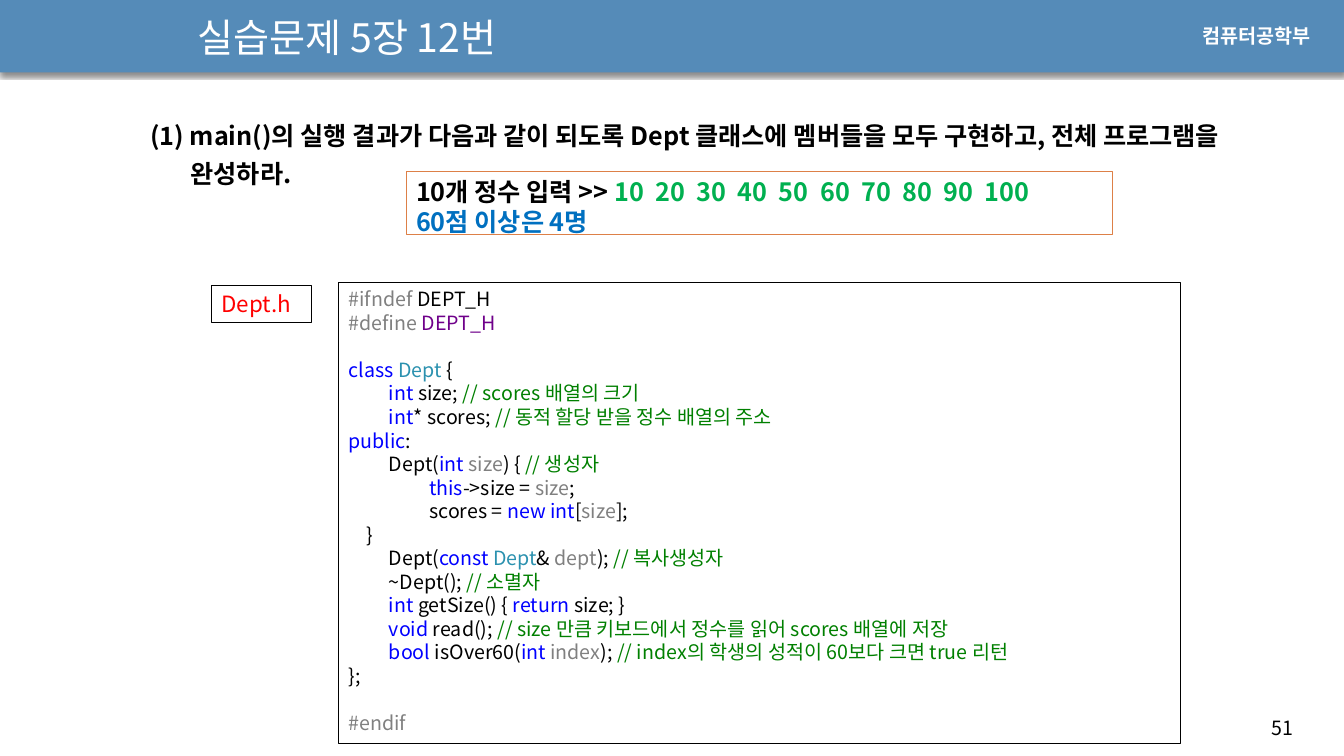
import pptx
import pptx.util
import pptx.dml.color
import pptx.enum.shapes
import pptx.enum.text
import pptx.oxml
import pptx.oxml.ns

FONT = "Noto Sans CJK KR"
COLOURS = {
    "header": "558BB8", "white": "FFFFFF", "text": "000000", "frame": "DD8047",
    "input": "00B050", "result": "0070C0", "label": "FF0000",
    "keyword": "0000FF", "type": "2B91AF", "comment": "008000",
    "muted": "808080", "macro": "6F008A",
}
INDENT = 0.4

presentation = pptx.Presentation()
presentation.slide_width = pptx.util.Inches(13.33)
presentation.slide_height = pptx.util.Inches(7.5)
slide = presentation.slides.add_slide(presentation.slide_layouts[1])

# Grid of 64 columns and 36 rows
COLUMN = presentation.slide_width / 64
ROW = presentation.slide_height / 36


def place(shape, column, row, columns, rows, fill=None, line=None):
    shape.left, shape.width = int(column * COLUMN), int(columns * COLUMN)
    shape.top, shape.height = int(row * ROW), int(rows * ROW)
    shape.text_frame.word_wrap = True
    shape.text_frame.auto_size = pptx.enum.text.MSO_AUTO_SIZE.NONE
    if fill:
        shape.shadow.inherit = False
        shape.fill.solid()
        shape.fill.fore_color.rgb = pptx.dml.color.RGBColor.from_string(COLOURS[fill])
        shape.line.fill.background()
        shape.text_frame.vertical_anchor = pptx.enum.text.MSO_ANCHOR.TOP
    if line:
        shape.line.color.rgb = pptx.dml.color.RGBColor.from_string(COLOURS[line])
        shape.line.width = pptx.util.Pt(0.5)
    return shape.text_frame


def write(text_frame, lines, size, bold=False, font=FONT, spacing=None):
    for number, pieces in enumerate(lines):
        paragraph = text_frame.paragraphs[0] if number == 0 else text_frame.add_paragraph()
        paragraph.alignment = pptx.enum.text.PP_ALIGN.LEFT
        paragraph.line_spacing = pptx.util.Pt(spacing or size * 1.2)
        paragraph.font.size = pptx.util.Pt(size)
        for text, colour in pieces:
            run = paragraph.add_run()
            run.text = text
            run.font.size = pptx.util.Pt(size)
            run.font.bold = bold
            run.font.name = font
            run.font.color.rgb = pptx.dml.color.RGBColor.from_string(COLOURS[colour])
            east_asian = pptx.oxml.parse_xml(
                f'<a:ea {pptx.oxml.ns.nsdecls("a")} typeface="{FONT}"/>')
            run.font._element.append(east_asian)


# Header band with its shadow, behind the title
rectangle = pptx.enum.shapes.MSO_SHAPE.RECTANGLE
header = slide.shapes.add_shape(rectangle, 0, 0, 0, 0)
place(header, 0, -0.05, 64, 3.5, "header")
effects = header._element.spPr.find(pptx.oxml.ns.qn("a:effectLst"))
effects.append(pptx.oxml.parse_xml(
    f'<a:outerShdw {pptx.oxml.ns.nsdecls("a")} blurRad="38100" dist="30480" dir="5400000"'
    ' rotWithShape="0"><a:srgbClr val="000000"><a:alpha val="45000"/></a:srgbClr></a:outerShdw>'))
slide.shapes._spTree.insert(2, header._element)

# Title
title = place(slide.shapes.title, 8.93, 0.24, 35.52, 3.02)
title.vertical_anchor = pptx.enum.text.MSO_ANCHOR.MIDDLE
write(title, [[("실습문제 5장 12번", "white")]], 28)

# Department and page number
department = place(slide.shapes.add_textbox(0, 0, 0, 0), 56.78, 0.91, 6.58, 1.63)
write(department, [[("컴퓨터공학부", "white")]], 14, True, "Arial")
page_number = place(slide.shapes.add_textbox(0, 0, 0, 0), 60.1, 33.84, 3.41, 1.63)
write(page_number, [[("51", "text")]], 14)

# Task
task = place(slide.placeholders[1], 6.67, 5.14, 52.51, 4.51)
properties = task.paragraphs[0]._p.get_or_add_pPr()
properties.set("marL", str(pptx.util.Inches(INDENT)))
properties.set("indent", str(-pptx.util.Inches(INDENT)))
properties.append(pptx.oxml.parse_xml(f'<a:buNone {pptx.oxml.ns.nsdecls("a")}/>'))
task.paragraphs[0].space_before = pptx.util.Pt(0)
task.paragraphs[0].space_after = pptx.util.Pt(6)
write(task, [[("(1) main()의 실행 결과가 다음과 같이 되도록 Dept 클래스에 멤버들을 모두 구현하고, "
               "전체 프로그램을 완성하라.", "text")]], 18, True, spacing=27)

# Expected output
output = place(slide.shapes.add_shape(rectangle, 0, 0, 0, 0),
               19.34, 8.16, 33.65, 3.02, "white", "frame")
scores = "  ".join(str(score) for score in range(10, 101, 10))
write(output, [[("10개 정수 입력 >> ", "text"), (scores, "input")],
               [("60점 이상은 4명", "result")]], 18, True)

# Code listing: indent level and coloured pieces of each line
code_lines = [
    (0, [("#ifndef", "muted"), (" DEPT_H", "text")]),
    (0, [("#define ", "muted"), ("DEPT_H", "macro")]),
    (0, []),
    (0, [("class ", "keyword"), ("Dept", "type"), (" {", "text")]),
    (1, [("int", "keyword"), (" size; ", "text"), ("// scores 배열의 크기", "comment")]),
    (1, [("int", "keyword"), ("* scores; ", "text"),
         ("// 동적 할당 받을 정수 배열의 주소", "comment")]),
    (0, [("public", "keyword"), (":", "text")]),
    (1, [("Dept(", "text"), ("int ", "keyword"), ("size", "muted"), (") { ", "text"),
         ("// 생성자", "comment")]),
    (2, [("this", "keyword"), ("->size = ", "text"), ("size", "muted"), (";", "text")]),
    (2, [("scores = ", "text"), ("new int", "keyword"), ("[", "text"), ("size", "muted"),
         ("];", "text")]),
    (0, [("    }", "text")]),
    (1, [("Dept(", "text"), ("const ", "keyword"), ("Dept", "type"), ("& ", "text"),
         ("dept", "muted"), ("); ", "text"), ("// 복사생성자", "comment")]),
    (1, [("~Dept(); ", "text"), ("// 소멸자", "comment")]),
    (1, [("int ", "keyword"), ("getSize() { ", "text"), ("return", "keyword"),
         (" size; }", "text")]),
    (1, [("void ", "keyword"), ("read(); ", "text"),
         ("// size 만큼 키보드에서 정수를 읽어 scores 배열에 저장", "comment")]),
    (1, [("bool", "keyword"), (" isOver60(", "text"), ("int ", "keyword"),
         ("index", "muted"), ("); ", "text"),
         ("// index의 학생의 성적이 60보다 크면 true 리턴", "comment")]),
    (0, [("};", "text")]),
    (0, []),
    (0, [("#endif", "muted")]),
]
code = place(slide.shapes.add_shape(rectangle, 0, 0, 0, 0),
             16.13, 13.44, 40.08, 21.98, "white", "text")
write(code, [pieces for level, pieces in code_lines], 14)
for paragraph, (level, pieces) in zip(code.paragraphs, code_lines):
    paragraph._p.get_or_add_pPr().set("indent", str(pptx.util.Inches(level * INDENT)))

# File name label
label = place(slide.shapes.add_shape(rectangle, 0, 0, 0, 0),
              10.08, 13.58, 4.75, 1.78, "white", "text")
write(label, [[("Dept.h", "label")]], 16)

presentation.save("out.pptx")
